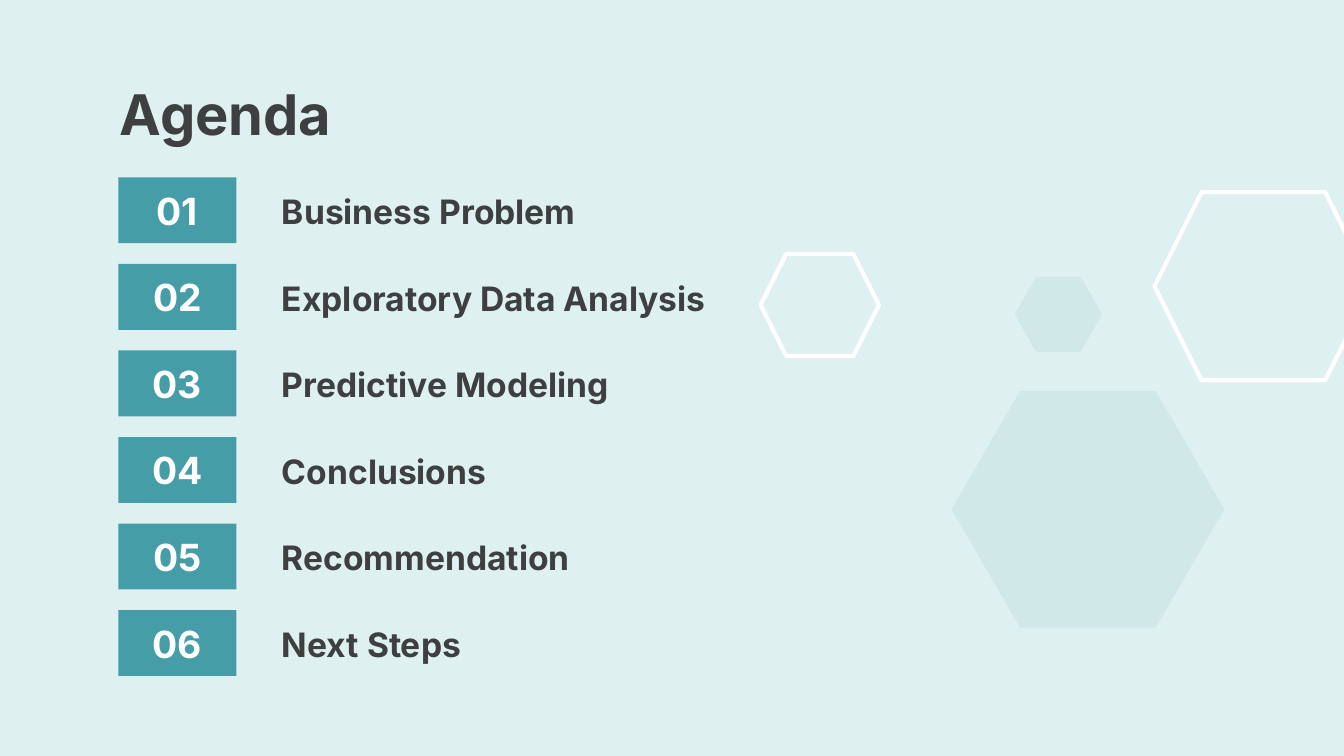
from dataclasses import dataclass

from lxml.etree import SubElement
from pptx import Presentation
from pptx.dml.color import RGBColor as RGB
from pptx.enum.shapes import MSO_SHAPE as Kind
from pptx.enum.text import MSO_ANCHOR as Anchor, MSO_AUTO_SIZE as Auto, PP_ALIGN as Align
from pptx.oxml.ns import qn
from pptx.util import Pt

PX = 4572
PAGE = (2000, 1125)


@dataclass(frozen=True)
class Theme:
    font: str = "Inter"
    back: RGB = RGB(0xDE, 0xF0, 0xEF)
    teal: RGB = RGB(0x45, 0x9D, 0xA8)
    ink: RGB = RGB(0x3D, 0x3F, 0x40)
    white: RGB = RGB(0xFF, 0xFF, 0xFF)
    head: int = 30
    mark: int = 20
    item: int = 18
    edge: float = 2.25
    alpha: int = 9


LOOK = Theme()
ITEMS = [
    "Business Problem",
    "Exploratory Data Analysis",
    "Predictive Modeling",
    "Conclusions",
    "Recommendation",
    "Next Steps",
]


def emu(*vals):
    return [round(v * PX) for v in vals]


def write(shape, text, size=LOOK.item, color=LOOK.ink, align=Align.LEFT, anchor=Anchor.TOP):
    frame = shape.text_frame
    frame.word_wrap = True
    frame.auto_size = Auto.NONE
    frame.vertical_anchor = anchor
    pad, = emu(20)
    frame.margin_left = frame.margin_right = pad
    frame.margin_top = frame.margin_bottom = pad
    para = frame.paragraphs[0]
    para.alignment = align
    run = para.add_run()
    run.text = text
    font = run.font
    font.name, font.size, font.bold = LOOK.font, Pt(size), True
    font.color.rgb = color


def heading(slide, box):
    title = slide.shapes.title
    title.left, title.top, title.width, title.height = emu(*box)
    write(title, "Agenda", size=LOOK.head)


def agenda(slide, box, tile=(176, 98), gap=48):
    x, y, w, h = box
    wide, tall = tile
    step = (h - tall) / (len(ITEMS) - 1)
    inset = wide + gap
    for i, item in enumerate(ITEMS):
        top = y + i * step
        mark = slide.shapes.add_shape(Kind.RECTANGLE, *emu(x, top, wide, tall))
        mark.shadow.inherit = False
        mark.fill.solid()
        mark.fill.fore_color.rgb = LOOK.teal
        mark.line.fill.background()
        write(mark, f"{i + 1:02}", size=LOOK.mark, color=LOOK.white,
              align=Align.CENTER, anchor=Anchor.MIDDLE)
        label = slide.shapes.add_textbox(*emu(x + inset, top, w - inset, tall))
        write(label, item)


def outline(shapes, x, y, w, h):
    hexa = shapes.add_shape(Kind.HEXAGON, *emu(x, y, w, h))
    hexa.shadow.inherit = False
    hexa.fill.background()
    hexa.line.color.rgb = LOOK.white
    hexa.line.width = Pt(LOOK.edge)


def solid(shapes, x, y, w, h):
    left, right, mid, base = x + w / 4, x + w * 3 / 4, y + h / 2, y + h
    path = shapes.build_freeform(left, y, scale=PX)
    path.add_line_segments([(x, mid), (left, base), (right, base), (x + w, mid), (right, y)])
    hexa = path.convert_to_shape()
    hexa.shadow.inherit = False
    hexa.fill.solid()
    hexa.fill.fore_color.rgb = LOOK.teal
    hexa.line.fill.background()
    tint = hexa.element.spPr.find(qn("a:solidFill"))[0]
    SubElement(tint, qn("a:alpha"), val=str(LOOK.alpha * 1000))


def cluster(slide, box):
    x, y = box[:2]
    shapes = slide.shapes.add_group_shape().shapes
    for draw, dx, dy, w, h in [
        (outline, 0, 92, 176, 152),
        (outline, 586, 0, 324, 280),
        (solid, 378, 126, 130, 112),
        (solid, 284, 296, 406, 352),
    ]:
        draw(shapes, x + dx, y + dy, w, h)


def main():
    deck = Presentation()
    deck.slide_width, deck.slide_height = emu(*PAGE)
    slide = deck.slides.add_slide(deck.slide_layouts[5])
    slide.background.fill.solid()
    slide.background.fill.fore_color.rgb = LOOK.back
    heading(slide, (158, 98, 1686, 126))
    agenda(slide, (176, 264, 938, 742))
    cluster(slide, (1132, 286, 910, 648))
    deck.save("out.pptx")


if __name__ == "__main__":
    main()
